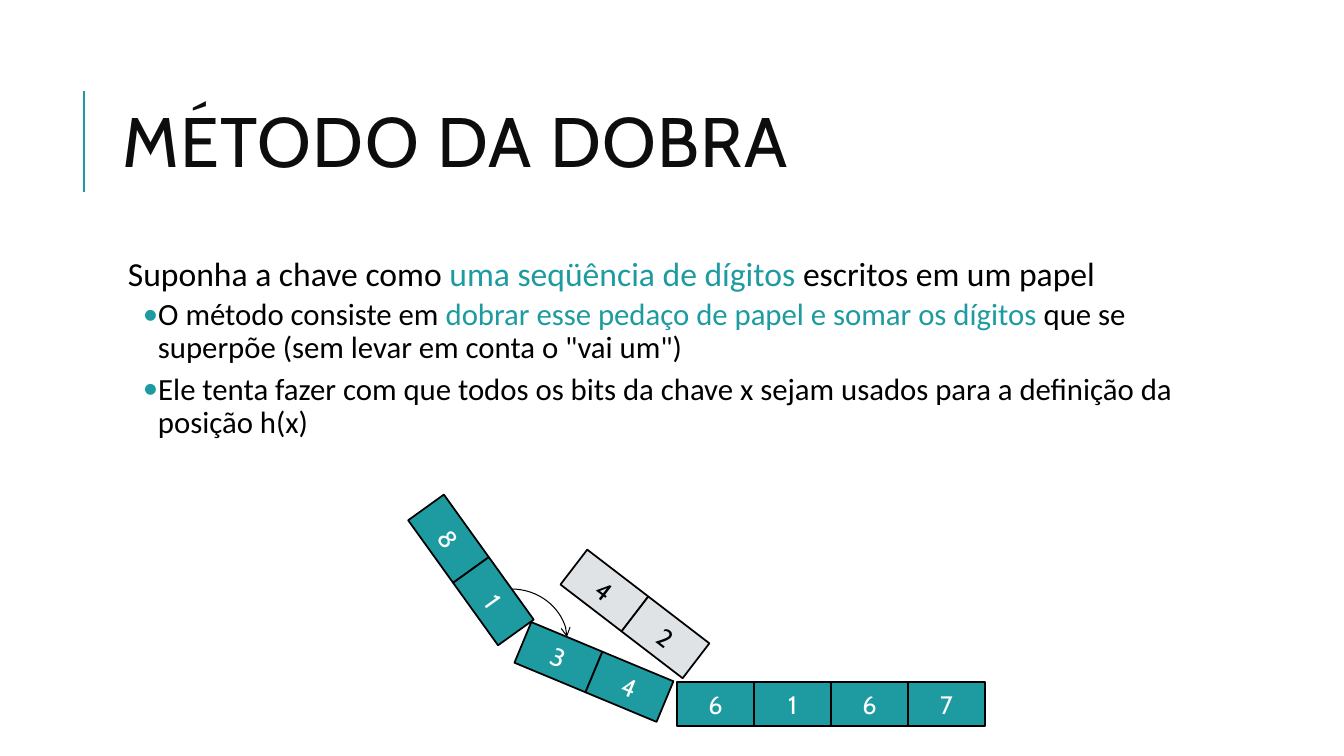
from math import cos, radians, sin

from lxml.etree import SubElement
from pptx import Presentation
from pptx.dml.color import RGBColor
from pptx.enum.shapes import MSO_CONNECTOR, MSO_SHAPE
from pptx.enum.text import MSO_ANCHOR, PP_ALIGN
from pptx.oxml.ns import qn
from pptx.util import Pt

PX = 914400 / 100.8
COLORS = {"teal": "1D9BA1", "black": "000000", "ink": "0D0D0D",
          "white": "FFFFFF", "gray": "DFE3E5"}
CELL_W, CELL_H = 77, 44


def px(*values):
    """Turn pixel lengths into a list of EMU."""
    return [round(v * PX) for v in values]


def rgb(name):
    """Look up a colour by name."""
    return RGBColor.from_string(COLORS[name])


def add_run(p, text, size, font, color):
    """Append one styled run to a paragraph."""
    r = p.add_run()
    r.text = text
    r.font.size, r.font.name = Pt(size), font
    r.font.color.rgb = rgb(color)
    return r


def add_line(s, kind, start, end, color, width):
    """Draw a connector without a shadow."""
    c = s.shapes.add_connector(kind, *px(*start, *end))
    c.line.color.rgb, c.line.width = rgb(color), Pt(width)
    SubElement(c._element.spPr, qn("a:effectLst"))
    return c


def add_text_box(s, box, inset=None):
    """Add a wrapping text box and return its text frame."""
    tf = s.shapes.add_textbox(*px(*box)).text_frame
    tf.word_wrap = True
    if inset is not None:
        (tf.margin_left, tf.margin_top,
         tf.margin_right, tf.margin_bottom) = px(*[inset] * 4)
    return tf


def add_title(s, box, text):
    """Place the title with the accent rule at its left."""
    x, y, w, h = box
    add_line(s, MSO_CONNECTOR.STRAIGHT, (x - 29, y + 127), (x - 29, y + 26),
             "teal", 1.5)
    tf = add_text_box(s, box)
    tf.vertical_anchor = MSO_ANCHOR.MIDDLE
    p = tf.paragraphs[0]
    p.line_spacing = 0.8
    r = add_run(p, text, 50, "Cabin", "ink")
    r._r.get_or_add_rPr().set("spc", "100")


def add_body(s, box, paragraphs):
    """Fill the body; each paragraph is (bulleted, [(text, color), ...])."""
    tf = add_text_box(s, box, inset=5)
    for i, (bulleted, runs) in enumerate(paragraphs):
        p = tf.add_paragraph() if i else tf.paragraphs[0]
        size, before, after, left, hang = (
            (22, 2, 4, 40, 15) if bulleted else (24, 12, 2, 10, 0))
        p.line_spacing = 0.9
        p.space_before, p.space_after = Pt(before), Pt(after)
        left, hang = px(left, hang)
        pPr = p._p.get_or_add_pPr()
        pPr.set("marL", str(left))
        pPr.set("indent", str(-hang))
        if bulleted:
            clr = SubElement(pPr, qn("a:buClr"))
            SubElement(clr, qn("a:srgbClr")).set("val", COLORS["teal"])
            SubElement(pPr, qn("a:buFont")).set("typeface", "Calibri")
            SubElement(pPr, qn("a:buChar")).set("char", "•")
        for text, color in runs:
            add_run(p, text, size, "Calibri", color)


def add_strip(s, center, angle, digits, fill, color):
    """Lay digit cells side by side along a strip turned about its centre."""
    for i, digit in enumerate(digits):
        offset = (i - (len(digits) - 1) / 2) * CELL_W
        x = center[0] + offset * cos(radians(angle))
        y = center[1] + offset * sin(radians(angle))
        sp = s.shapes.add_shape(
            MSO_SHAPE.RECTANGLE,
            *px(x - CELL_W / 2, y - CELL_H / 2, CELL_W, CELL_H))
        sp.rotation = angle
        sp.shadow.inherit = False
        sp.fill.solid()
        sp.fill.fore_color.rgb = rgb(fill)
        sp.line.color.rgb, sp.line.width = rgb("black"), Pt(1.25)
        tf = sp.text_frame
        tf.vertical_anchor = MSO_ANCHOR.MIDDLE
        p = tf.paragraphs[0]
        p.alignment = PP_ALIGN.CENTER
        add_run(p, digit, 18, "Cabin", color)


def add_fold_diagram(s, box):
    """Draw the folded paper strips and the arrow showing the fold."""
    x, y = box[:2]
    strips = [((187, 178), 22.6, "34", "teal", "white"),
              ((424, 210), 0, "6167", "teal", "white"),
              ((64, 76), 54.3, "81", "teal", "white"),
              ((228, 120), 37.5, "42", "gray", "black")]
    for (dx, dy), *strip in strips:
        add_strip(s, (x + dx, y + dy), *strip)
    c = add_line(s, MSO_CONNECTOR.CURVE, (x + 104, y + 95),
                 (x + 160, y + 143), "black", 0.75)
    c._element.spPr.find(qn("a:prstGeom")).set("prst", "curvedConnector2")
    SubElement(c.line._get_or_add_ln(), qn("a:tailEnd")).set("type", "arrow")


def build_slide(prs):
    """Build the folding method slide."""
    s = prs.slides.add_slide(prs.slide_layouts[6])
    add_title(s, (113, 65, 1071, 165), "MÉTODO DA DOBRA")
    add_body(s, (113, 252, 1071, 444), [
        (False, [("Suponha a chave como ", "black"),
                 ("uma seqüência de dígitos ", "teal"),
                 ("escritos em um papel", "black")]),
        (True, [("O método consiste em ", "black"),
                ("dobrar esse pedaço de papel e somar os dígitos ", "teal"),
                ("que se superpõe (sem levar em conta o \"vai um\")",
                 "black")]),
        (True, [("Ele tenta fazer com que todos os bits da chave x sejam "
                 "usados para a definição da posição h(x)", "black")]),
    ])
    add_fold_diagram(s, (407, 494, 579, 233))


prs = Presentation()
prs.slide_width, prs.slide_height = px(1344, 756)
build_slide(prs)
prs.save("out.pptx")
